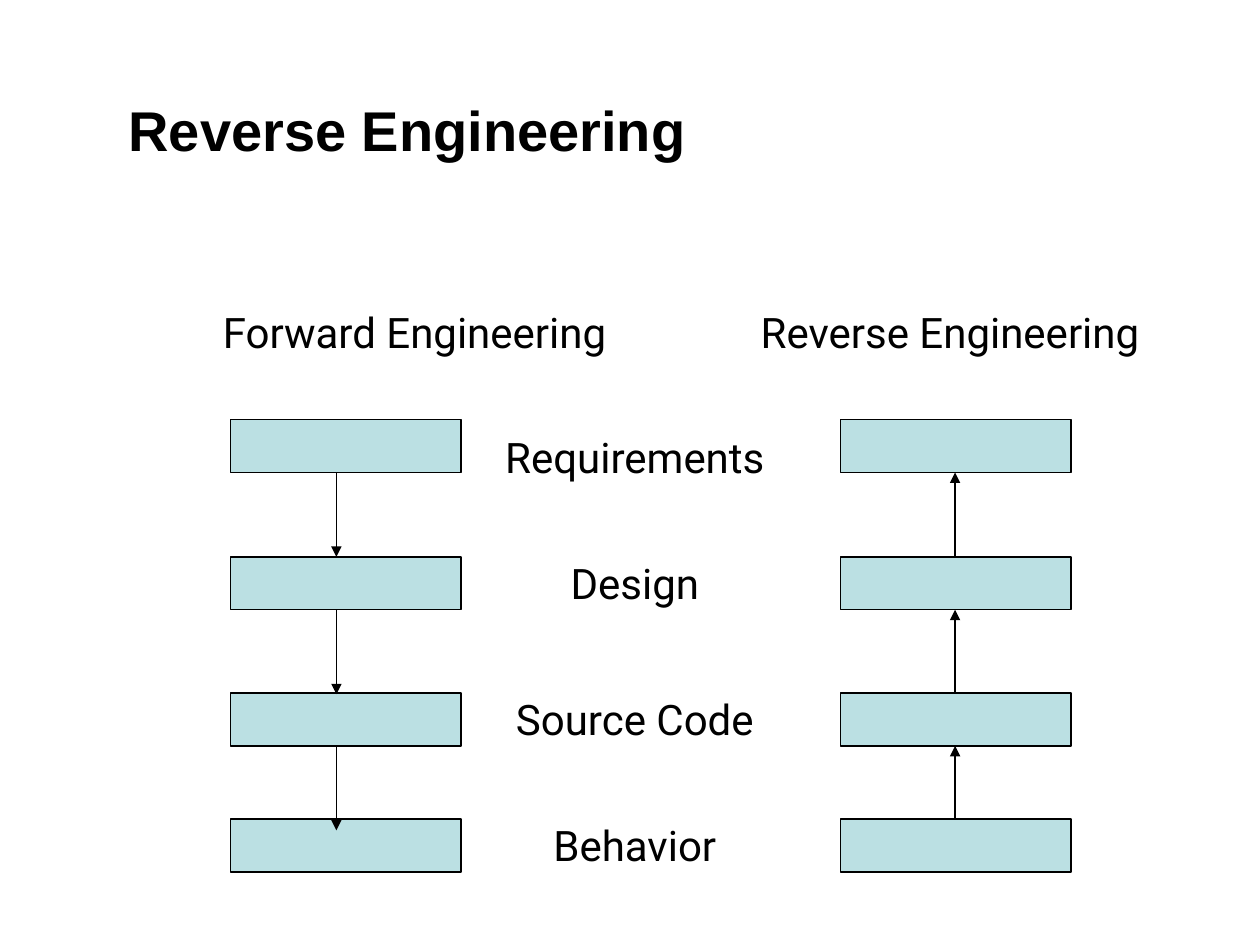
"""Build a slide comparing forward and reverse engineering through four stages."""
from lxml import etree
from pptx import Presentation
from pptx.dml.color import RGBColor
from pptx.enum import shapes, text
from pptx.oxml import ns
from pptx.util import Inches, Pt

TITLE = "Reverse Engineering"
STAGES = [
    ("Requirements ", 3.33, 3.25),
    ("Design ", 4.42, 4.25),
    ("Source Code ", 5.5, 5.33),
    ("Behavior ", 6.5, 6.33),
]
FLOWS = [
    {"heading": "Forward Engineering", "heading_left": 1.5, "left": 1.83, "arrow_x": 2.67, "upward": False},
    {"heading": "Reverse Engineering", "heading_left": 5.75, "left": 6.67, "arrow_x": 7.58, "upward": True},
]
BOX_WIDTH, BOX_HEIGHT, ARROW_LENGTH = 1.83, 0.42, 0.67
BLACK, TEAL = "000000", "BBE0E3"
FRAME = {
    "margin_left": Inches(0.1), "margin_right": Inches(0.1),
    "margin_top": Inches(0.05), "margin_bottom": Inches(0.05),
    "vertical_anchor": text.MSO_ANCHOR.MIDDLE, "auto_size": text.MSO_AUTO_SIZE.NONE,
}
CENTRED = {"alignment": text.PP_ALIGN.CENTER, "space_before": Pt(6)}
LEFT = {"alignment": text.PP_ALIGN.LEFT}


def apply(target, values):
    for name, value in values.items():
        setattr(target, name, value)


def paint(colour_format, colour):
    colour_format.rgb = RGBColor.from_string(colour)


def write(holder, runs, paragraph_format, wrap):
    frame = holder.text_frame
    apply(frame, {**FRAME, "word_wrap": wrap})
    paragraph = frame.paragraphs[0]
    apply(paragraph, paragraph_format)
    for words, font in runs:
        run = paragraph.add_run()
        run.text = words
        apply(run.font, font)
        paint(run.font.color, BLACK)


def outline(line):
    paint(line.color, BLACK) if line.fill.type else line.fill.solid()
    paint(line.color, BLACK)
    line.width = Pt(0.75)


def add_label(slide, words, *place):
    label = slide.shapes.add_textbox(*map(Inches, place))
    write(label, [(words, {"name": "Roboto", "size": Pt(24)})], CENTRED, False)


def add_stage(slide, left, top):
    stage = slide.shapes.add_shape(
        shapes.MSO_SHAPE.RECTANGLE, *map(Inches, (left, top, BOX_WIDTH, BOX_HEIGHT)))
    stage.shadow.inherit = False
    stage.fill.solid()
    paint(stage.fill.fore_color, TEAL)
    outline(stage.line)


def add_arrow(slide, x, start, end):
    arrow = slide.shapes.add_connector(
        shapes.MSO_CONNECTOR.STRAIGHT, *map(Inches, (x, start, x, end)))
    outline(arrow.line)
    etree.SubElement(arrow.line._get_or_add_ln(), ns.qn("a:tailEnd"), type="triangle")
    etree.SubElement(arrow._element.spPr, ns.qn("a:effectLst"))


def add_flow(slide, flow):
    tops = [top for _, top, _ in STAGES]
    for top in tops:
        add_stage(slide, flow["left"], top)
    for upper, lower in zip(tops, tops[1:]):
        bottom = upper + BOX_HEIGHT
        start, end = (lower, bottom) if flow["upward"] else (bottom, bottom + ARROW_LENGTH)
        add_arrow(slide, flow["arrow_x"], start, end)


def main():
    deck = Presentation()
    apply(deck, {"slide_width": Inches(10), "slide_height": Inches(7.5)})
    slide = deck.slides.add_slide(deck.slide_layouts[5])
    title = slide.shapes.title
    apply(title, dict(zip(("left", "top", "width", "height"), map(Inches, (0.92, 0.33, 8, 1.25)))))
    write(title, [
        (TITLE, {"name": "Arial", "size": Pt(32), "bold": True}),
        (" ", {"name": "Arial", "size": Pt(44), "bold": False}),
    ], LEFT, True)
    for flow in FLOWS:
        add_label(slide, flow["heading"], flow["heading_left"], 2.17, 3.58, 0.92)
    for flow in FLOWS:
        add_flow(slide, flow)
    for words, _, label_top in STAGES:
        add_label(slide, words, 3.83, label_top, 2.5, 0.75)
    deck.save("out.pptx")


if __name__ == "__main__":
    main()
